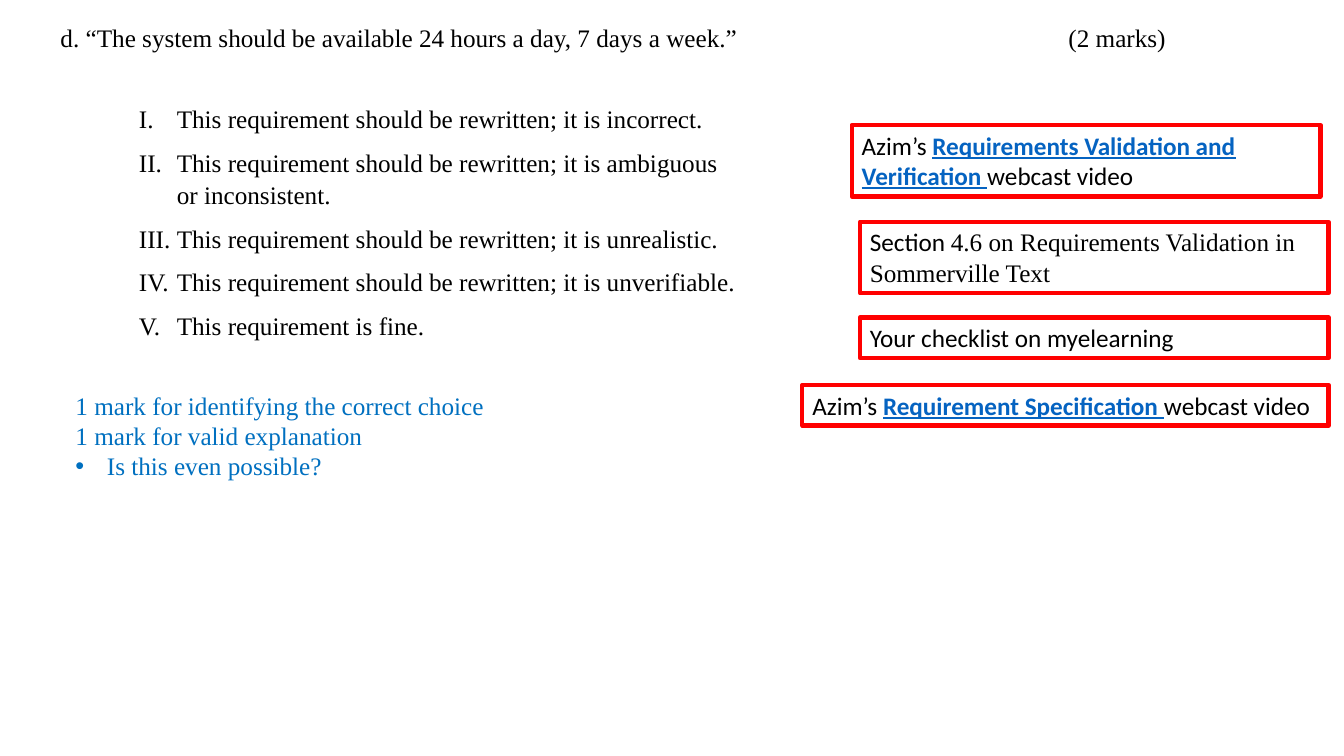
from lxml import etree
from pptx import Presentation
from pptx.dml.color import RGBColor
from pptx.enum import shapes, text
from pptx.oxml.ns import qn
from pptx.util import Pt

COLORS = {"ink": "000000", "answer": "0070C0", "link": "0563C1", "frame": "FF0000"}
SERIF, SANS = "Times New Roman", "Calibri"
SIZE = 18

QUESTION = "d. “The system should be available 24 hours a day, 7 days a week.”\t(2 marks)"
CHOICES = [
    "This requirement should be rewritten; it is incorrect.",
    "This requirement should be rewritten; it is ambiguous or inconsistent.",
    "This requirement should be rewritten; it is unrealistic.",
    "This requirement should be rewritten; it is unverifiable.",
    "This requirement is fine.",
]
MARKING = ["1 mark for identifying the correct choice", "1 mark for valid explanation"]
HINT = "Is this even possible?"

# Each resource: (left, top, width, height) and its spans of (words, style)
RESOURCES = [
    ((608.4, 89.3, 334.8, 51.1), [
        ("Azim’s ", "sans"),
        ("Requirements Validation and Verification ", "link"),
        ("webcast video", "sans")]),
    ((614.2, 158.4, 334.8, 51.1), [
        ("Section ", "sans"),
        ("4.6 on Requirements Validation in Sommerville Text", "serif")]),
    ((614.2, 226.8, 334.8, 29), [("Your checklist on myelearning", "sans")]),
    ((573.1, 275, 375.9, 29), [
        ("Azim’s ", "sans"),
        ("Requirement Specification ", "link"),
        ("webcast video", "sans")]),
]


def style_font(font, name, color):
    font.name = name
    font.size = Pt(SIZE)
    font.color.rgb = RGBColor.from_string(COLORS[color])


def add_list_mark(para, tag, left, hanging, **attributes):
    """Indent the paragraph and give it a bullet or number element."""
    props = para._p.get_or_add_pPr()
    props.set("marL", str(Pt(left)))
    props.set("indent", str(-Pt(hanging)))
    if tag == "a:buChar":
        etree.SubElement(props, qn("a:buFont"), typeface="Arial")
    etree.SubElement(props, qn(tag), **attributes)


def add_lines(page, place, lines, color):
    box = page.shapes.add_textbox(*map(Pt, place))
    frame = box.text_frame
    frame.word_wrap = True
    frame.text = "\n".join(lines)
    for para in frame.paragraphs:
        for span in para.runs:
            style_font(span.font, SERIF, color)
    return frame.paragraphs


def add_question(page):
    title = page.shapes.title
    title.left, title.top, title.width, title.height = map(Pt, (36, 12.2, 888.5, 29))
    frame = title.text_frame
    frame.text = QUESTION
    frame.auto_size = text.MSO_AUTO_SIZE.NONE
    frame.vertical_anchor = text.MSO_ANCHOR.TOP
    para = frame.paragraphs[0]
    para.alignment = text.PP_ALIGN.LEFT
    tabs = etree.SubElement(para._p.get_or_add_pPr(), qn("a:tabLst"))
    etree.SubElement(tabs, qn("a:tab"), pos=str(Pt(720)), algn="l")
    style_font(para.runs[0].font, SERIF, "ink")


def add_resource(page, place, spans):
    box = page.shapes.add_shape(shapes.MSO_SHAPE.RECTANGLE, *map(Pt, place))
    box.shadow.inherit = False
    box.fill.background()
    box.line.color.rgb = RGBColor.from_string(COLORS["frame"])
    box.line.width = Pt(3)
    frame = box.text_frame
    frame.word_wrap = True
    frame.vertical_anchor = text.MSO_ANCHOR.TOP
    para = frame.paragraphs[0]
    para.alignment = text.PP_ALIGN.LEFT
    for words, style in spans:
        span = para.add_run()
        span.text = words
        is_link = style == "link"
        style_font(span.font, SERIF if style == "serif" else SANS,
                   "link" if is_link else "ink")
        span.font.bold = span.font.underline = is_link


def main():
    deck = Presentation()
    deck.slide_width, deck.slide_height = Pt(960), Pt(540)
    page = deck.slides.add_slide(deck.slide_layouts[5])

    add_question(page)

    for para in add_lines(page, (56.2, 69.1, 479.5, 177.8), CHOICES, "ink"):
        add_list_mark(para, "a:buAutoNum", 63, 27, type="romanUcPeriod")
        para.line_spacing = 1.07
        para.space_after = Pt(8)

    marking = add_lines(page, (46.8, 275, 318.2, 94.3), MARKING + [HINT], "answer")
    add_list_mark(marking[-1], "a:buChar", 22.5, 22.5, char="•")

    for place, spans in RESOURCES:
        add_resource(page, place, spans)

    deck.save("out.pptx")


if __name__ == "__main__":
    main()
